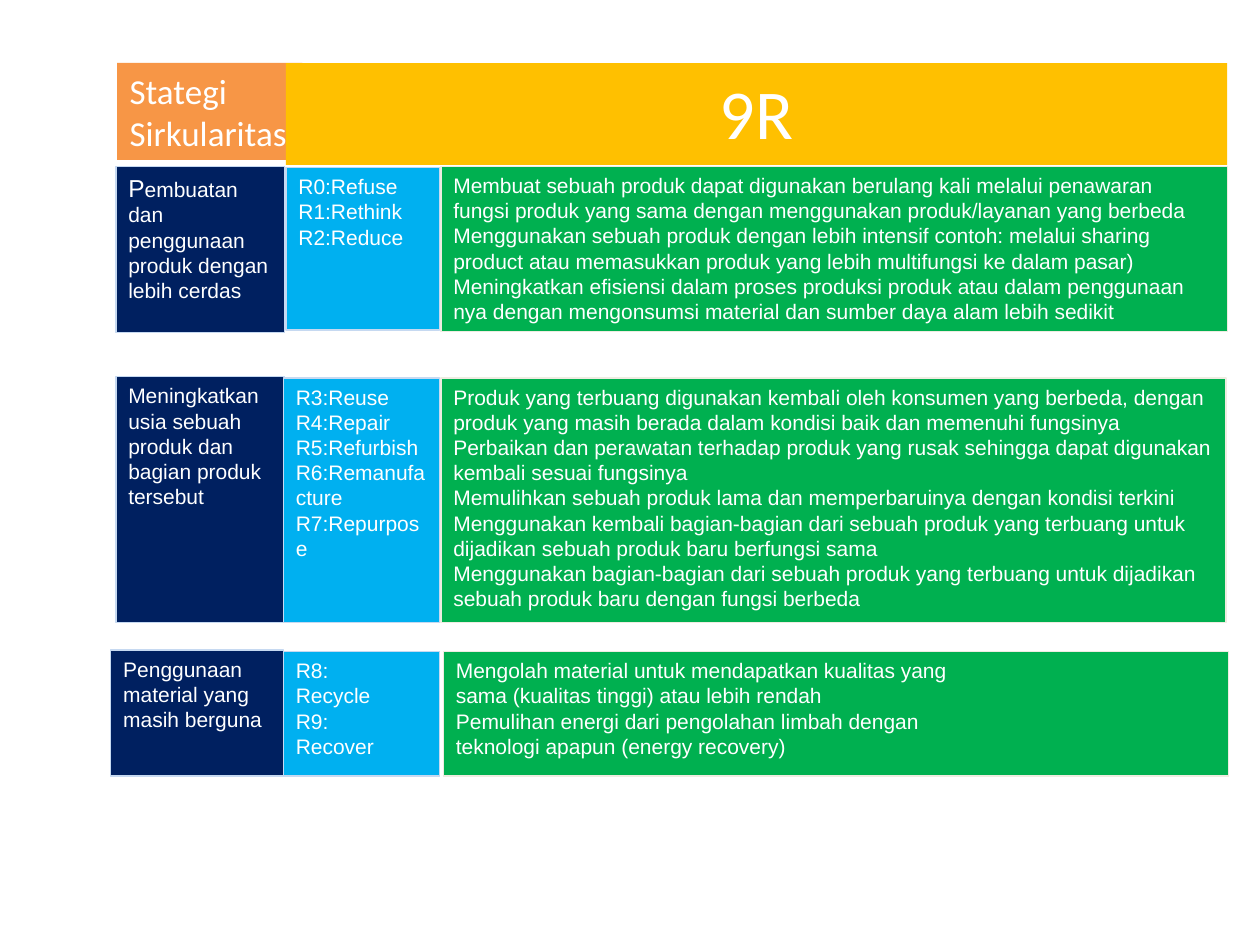
"""Build the 9R circularity strategy slide."""
from dataclasses import dataclass

from pptx import Presentation
from pptx.dml.color import RGBColor
from pptx.enum.shapes import MSO_SHAPE
from pptx.enum.text import MSO_ANCHOR, PP_ALIGN
from pptx.slide import Slide
from pptx.util import Inches, Pt

COLORS = {
    "strategy": "002060", "codes": "00B0F0", "meaning": "00B050",
    "strategy_head": "F79646", "codes_head": "FFC000",
    "pale_blue": "C6D9F1", "cream": "EEECE1", "white": "FFFFFF",
}
OUTLINES = {"strategy": "pale_blue", "codes": "pale_blue", "meaning": "cream"}


@dataclass
class Cell:
    """A filled rectangle with one string per paragraph."""
    kind: str
    left: float
    top: float
    width: float
    height: float
    lines: list[str]


CELLS = [
    Cell("strategy", 0.92, 1.32, 1.34, 1.32,
         ["Pembuatan dan", "penggunaan", "produk dengan", "lebih cerdas"]),
    Cell("codes", 2.27, 1.33, 1.22, 1.29, ["R0:Refuse", "R1:Rethink", "R2:Reduce"]),
    Cell("meaning", 3.5, 1.32, 6.24, 1.31, [
        "Membuat sebuah produk dapat digunakan berulang kali melalui penawaran "
        "fungsi produk yang sama dengan menggunakan produk/layanan yang berbeda",
        "Menggunakan sebuah produk dengan lebih intensif contoh: melalui sharing "
        "product atau memasukkan produk yang lebih multifungsi ke dalam pasar)",
        "Meningkatkan efisiensi dalam proses produksi produk atau dalam penggunaan "
        "nya dengan mengonsumsi material dan sumber daya alam lebih sedikit"]),
    Cell("strategy", 0.92, 2.99, 1.34, 1.95,
         ["Meningkatkan", "usia sebuah", "produk dan", "bagian produk", "tersebut"]),
    Cell("codes", 2.25, 3, 1.24, 1.94,
         ["R3:Reuse", "R4:Repair", "R5:Refurbish", "R6:Remanufacture", "R7:Repurpose"]),
    Cell("meaning", 3.5, 3, 6.23, 1.94, [
        "Produk yang terbuang digunakan kembali oleh konsumen yang berbeda, dengan "
        "produk yang masih berada dalam kondisi baik dan memenuhi fungsinya",
        "Perbaikan dan perawatan terhadap produk yang rusak sehingga dapat digunakan "
        "kembali sesuai fungsinya",
        "Memulihkan sebuah produk lama dan memperbaruinya dengan kondisi terkini",
        "Menggunakan kembali bagian-bagian dari sebuah produk yang terbuang untuk "
        "dijadikan sebuah produk baru berfungsi sama",
        "Menggunakan bagian-bagian dari sebuah produk yang terbuang untuk dijadikan "
        "sebuah produk baru dengan fungsi berbeda"]),
    Cell("strategy", 0.88, 5.16, 1.37, 1, ["Penggunaan", "material yang", "masih berguna"]),
    Cell("codes", 2.25, 5.17, 1.24, 0.99, ["R8:", "Recycle", "R9:", "Recover"]),
    Cell("meaning", 3.52, 5.17, 6.23, 0.99, [
        "Mengolah material untuk mendapatkan kualitas yang",
        "sama (kualitas tinggi) atau lebih rendah",
        "Pemulihan energi dari pengolahan limbah dengan",
        "teknologi apapun (energy recovery)"]),
]
STRATEGY_HEAD = Cell("strategy_head", 0.93, 0.5, 1.47, 0.77, ["Stategi Sirkularitas"])
CODES_HEAD = Cell("codes_head", 2.27, 0.5, 7.47, 0.81, ["9R"])


def color(name: str) -> RGBColor:
    """Look up a palette colour."""
    return RGBColor.from_string(COLORS[name])


def add_span(para, text: str, *, size: float, font: str) -> None:
    """Append white formatted text to a paragraph."""
    span = para.add_run()
    span.text = text
    span.font.size = Pt(size)
    span.font.name = font
    span.font.color.rgb = color("white")


def draw_cell(page: Slide, cell: Cell, *, size: float = 12, font: str = "Arial",
              align: PP_ALIGN = PP_ALIGN.LEFT, initial_size: float | None = None) -> None:
    """Draw a cell, optionally with a larger first letter."""
    box = page.shapes.add_shape(MSO_SHAPE.RECTANGLE, Inches(cell.left), Inches(cell.top),
                                Inches(cell.width), Inches(cell.height))
    box.shadow.inherit = False
    box.fill.solid()
    box.fill.fore_color.rgb = color(cell.kind)
    if cell.kind in OUTLINES:
        box.line.color.rgb = color(OUTLINES[cell.kind])
        box.line.width = Pt(0.75)
    else:
        box.line.fill.background()
    frame = box.text_frame
    frame.word_wrap = True
    frame.vertical_anchor = MSO_ANCHOR.TOP
    for index, line in enumerate(cell.lines):
        para = frame.add_paragraph() if index else frame.paragraphs[0]
        para.alignment = align
        if initial_size and index == 0:
            add_span(para, line[0], size=initial_size, font=font)
            line = line[1:]
        add_span(para, line, size=size, font=font)


def main() -> None:
    """Create and save the deck."""
    deck = Presentation()
    deck.slide_width, deck.slide_height = Inches(10), Inches(7.5)
    page = deck.slides.add_slide(deck.slide_layouts[6])
    for index, cell in enumerate(CELLS):
        draw_cell(page, cell, initial_size=None if index else 14)
    draw_cell(page, STRATEGY_HEAD, size=20, font="Calibri")
    draw_cell(page, CODES_HEAD, size=40, font="Calibri", align=PP_ALIGN.CENTER)
    deck.save("out.pptx")


if __name__ == "__main__":
    main()
